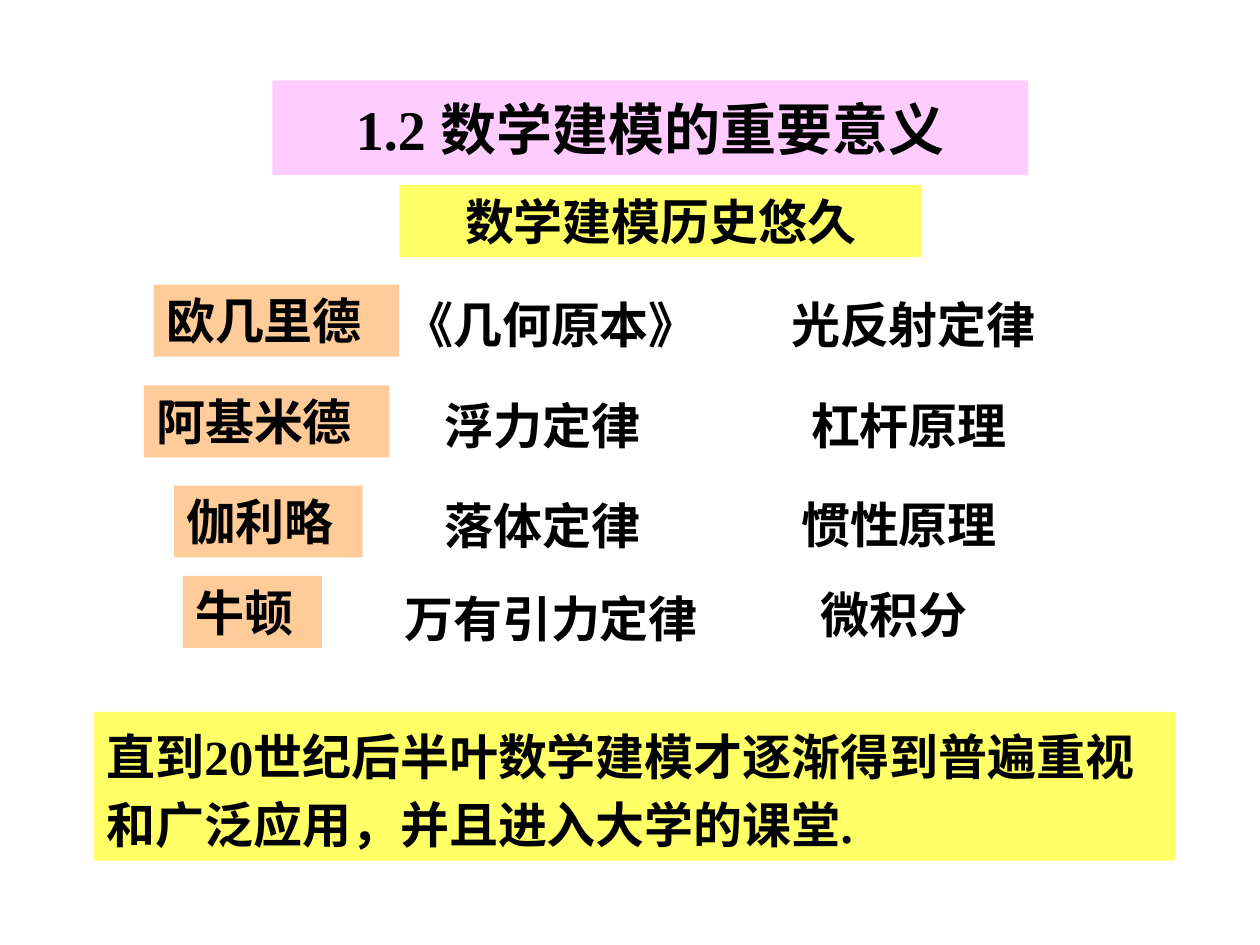
from lxml.etree import SubElement
from pptx import Presentation
from pptx.dml.color import RGBColor
from pptx.enum.shapes import MSO_SHAPE as SHAPE
from pptx.enum.text import MSO_ANCHOR as ANCHOR, MSO_AUTO_SIZE as FIT, PP_ALIGN as ALIGN
from pptx.oxml.ns import qn
from pptx.util import Cm, Pt

BLACK = RGBColor(0x00, 0x00, 0x00)
PINK = RGBColor(0xFF, 0xCC, 0xFF)
YELLOW = RGBColor(0xFF, 0xFF, 0x66)
ORANGE = RGBColor(0xFF, 0xCC, 0x99)

CJK = "Noto Sans CJK SC"
LATIN = "Times New Roman"
ROW_H = 1.45

# Each row: (text, left, top, width) in cm for the person and two achievements
ROWS = [
    [("欧几里德", 3.1, 5.74, 4.95),
     ("《几何原本》", 7.9, 5.82, 7.39),
     ("光反射定律", 15.7, 5.82, 7.39)],
    [("阿基米德", 2.9, 7.77, 4.95),
     ("浮力定律", 8.71, 7.85, 5.59),
     ("杠杆原理", 16.1, 7.85, 5.59)],
    [("伽利略", 3.51, 9.79, 3.8),
     ("落体定律", 8.71, 9.86, 5.59),
     ("惯性原理", 15.9, 9.84, 5.59)],
    [("牛顿", 3.69, 11.61, 2.8),
     ("万有引力定律", 7.9, 11.73, 7.8),
     ("微积分", 16.3, 11.66, 4.6)],
]


def set_text(s, text, size=28, font=CJK, align=ALIGN.LEFT, anchor=ANCHOR.TOP,
             wrap=True, fit=FIT.SHAPE_TO_FIT_TEXT, spacing=None):
    tf = s.text_frame
    tf.word_wrap = wrap
    tf.auto_size = fit
    tf.vertical_anchor = anchor
    p = tf.paragraphs[0]
    p.alignment = align
    if spacing:
        p.line_spacing = spacing
    r = p.add_run()
    r.text = text
    r.font.size = Pt(size)
    r.font.bold = True
    r.font.color.rgb = BLACK
    r.font.name = font
    SubElement(r.font._element, qn("a:ea"), typeface=CJK)


def add_label(slide, text, left, top, width, height=ROW_H, **fmt):
    sp = slide.shapes.add_textbox(Cm(left), Cm(top), Cm(width), Cm(height))
    set_text(sp, text, **fmt)


def add_panel(slide, text, left, top, width, height=ROW_H, fill=ORANGE, **fmt):
    sp = slide.shapes.add_shape(SHAPE.RECTANGLE, Cm(left), Cm(top), Cm(width), Cm(height))
    sp.shadow.inherit = False
    sp.fill.solid()
    sp.fill.fore_color.rgb = fill
    sp.line.fill.background()
    set_text(sp, text, **fmt)


def main():
    prs = Presentation()
    prs.slide_width, prs.slide_height = Cm(25.4), Cm(19.05)
    slide = prs.slides.add_slide(prs.slide_layouts[6])

    add_panel(slide, "1.2 数学建模的重要意义", 5.49, 1.62, 15.24, 1.91, fill=PINK,
              size=32, font=LATIN, align=ALIGN.CENTER, anchor=ANCHOR.MIDDLE,
              wrap=False, fit=FIT.NONE)
    add_panel(slide, "数学建模历史悠久", 8.05, 3.73, 10.54, fill=YELLOW,
              align=ALIGN.CENTER)
    for person, *achievements in ROWS:
        add_panel(slide, *person)
        for achievement in achievements:
            add_label(slide, *achievement)
    add_panel(slide, "直到20世纪后半叶数学建模才逐渐得到普遍重视和广泛应用，并且进入大学的课堂.",
              1.9, 14.35, 21.79, 3, fill=YELLOW, font=LATIN, spacing=1.15)

    prs.save("out.pptx")


if __name__ == "__main__":
    main()
